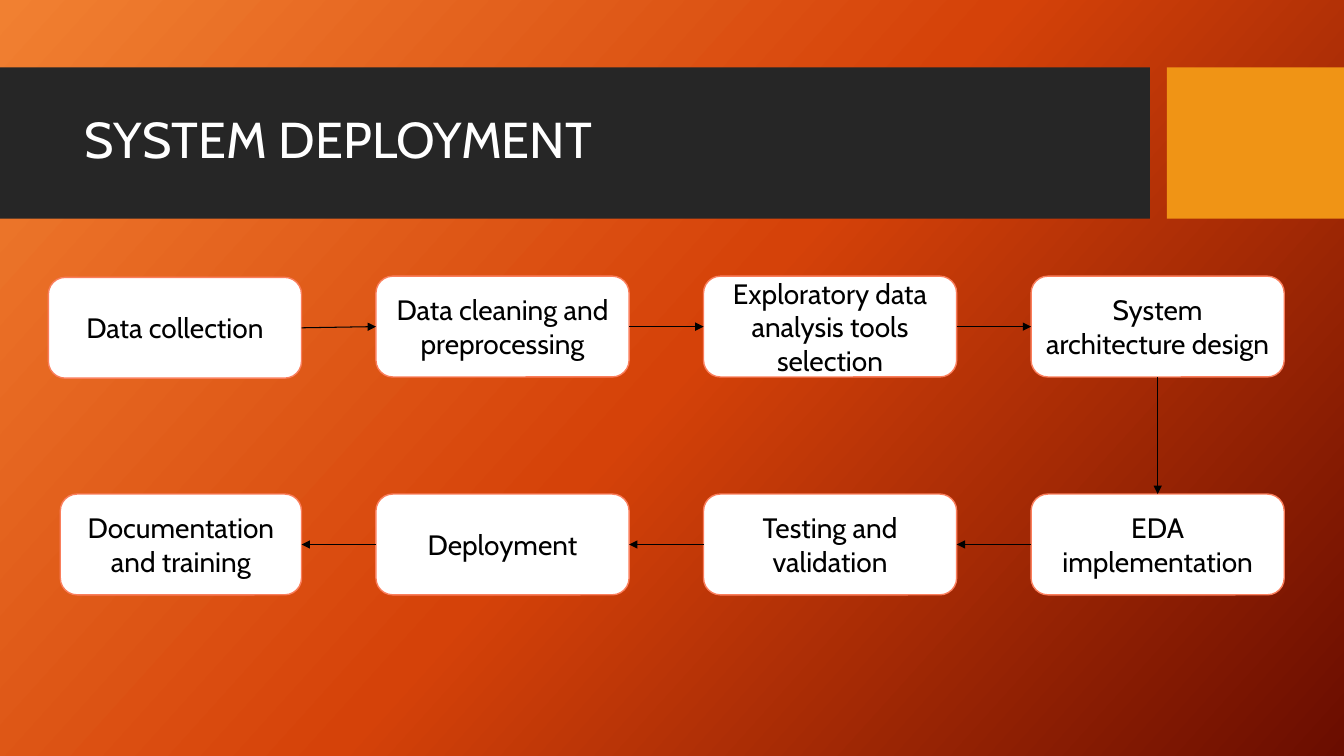
"""Build the system deployment slide: a title band above a serpentine flow of steps."""
from copy import deepcopy

from pptx import Presentation
from pptx.dml.color import RGBColor
from pptx.enum.shapes import MSO_CONNECTOR as Connector, MSO_SHAPE as Preset
from pptx.enum.text import MSO_ANCHOR as Anchor, PP_ALIGN as Align
from pptx.oxml.ns import qn
from pptx.oxml.xmlchemy import OxmlElement
from pptx.util import Cm, Pt

TITLE = "SYSTEM DEPLOYMENT"
STEPS = [
    "Data collection",
    "Data cleaning and preprocessing",
    "Exploratory data analysis tools selection",
    "System architecture design",
    "EDA implementation",
    "Testing and validation",
    "Deployment",
    "Documentation and training",
]
FONT = "Cabin"
GRADIENT = [(0, "F18031"), (0.5, "D54209"), (1, "6A0D00")]
BANDS = [(0, 28.98, "262626"), (29.41, 4.46, "F09415")]
BAND_TOP, BAND_HEIGHT = 1.7, 3.81

COLUMNS = 4
FLOW_LEFT, COLUMN_STEP = 1.22, 8.255
ROW_TOPS = [6.96, 12.45]
BOX_WIDTH, BOX_HEIGHT = 6.38, 2.54
FIRST_DROP = 0.03
LAST_INDENT = 0.3
TOP, LEFT, BOTTOM, RIGHT = range(4)


def color(value):
    return RGBColor.from_string(value)


def paint_background(slide):
    fill = slide.background.fill
    fill.gradient()
    fill.gradient_angle = 360 - 42
    first_stop = slide.element.find(".//" + qn("a:gs"))
    first_stop.addnext(deepcopy(first_stop))
    for stop, (position, value) in zip(fill.gradient_stops, GRADIENT):
        stop.position = position
        stop.color.rgb = color(value)


def add_block(slide, preset, left, top, width, height, fill, line=None):
    shape = slide.shapes.add_shape(preset, Cm(left), Cm(top), Cm(width), Cm(height))
    shape.shadow.inherit = False
    shape.fill.solid()
    shape.fill.fore_color.rgb = color(fill)
    if line:
        shape.line.color.rgb = color(line)
        shape.line.width = Pt(1)
    else:
        shape.line.fill.background()
    return shape


def write(shape, text, size, value, align):
    frame = shape.text_frame
    frame.word_wrap = True
    frame.vertical_anchor = Anchor.MIDDLE
    paragraph = frame.paragraphs[0]
    paragraph.alignment = align
    run = paragraph.add_run()
    run.text = text
    run.font.name = FONT
    run.font.size = Pt(size)
    run.font.color.rgb = color(value)
    return paragraph


def add_step(slide, index, text):
    row, column = divmod(index, COLUMNS)
    if row % 2:
        column = COLUMNS - 1 - column
    indent = LAST_INDENT if index == len(STEPS) - 1 else 0
    drop = FIRST_DROP if index == 0 else 0
    left = FLOW_LEFT + column * COLUMN_STEP + indent
    box = add_block(slide, Preset.ROUNDED_RECTANGLE, left, ROW_TOPS[row] + drop,
                    BOX_WIDTH - indent, BOX_HEIGHT, "FFFFFF", "FA7E5C")
    write(box, text, 20, "000000", Align.CENTER)
    return box


def add_arrow(slide, source, target, source_side, target_side):
    arrow = slide.shapes.add_connector(Connector.STRAIGHT, 0, 0, 0, 0)
    arrow.begin_connect(source, source_side)
    arrow.end_connect(target, target_side)
    arrow.line.color.rgb = color("000000")
    arrow.line.width = Pt(0.75)
    head = OxmlElement("a:tailEnd")
    head.set("type", "triangle")
    arrow.line._get_or_add_ln().append(head)
    arrow._element.spPr.append(OxmlElement("a:effectLst"))


def main():
    presentation = Presentation()
    presentation.slide_width, presentation.slide_height = Cm(33.87), Cm(19.05)
    slide = presentation.slides.add_slide(presentation.slide_layouts[6])
    paint_background(slide)
    for left, width, fill in BANDS:
        add_block(slide, Preset.RECTANGLE, left, BAND_TOP, width, BAND_HEIGHT, fill)
    title = slide.shapes.add_textbox(Cm(1.88), Cm(2.08), Cm(26.7), Cm(3))
    write(title, TITLE, 36, "FFFFFF", Align.LEFT).line_spacing = 0.9

    boxes = [add_step(slide, index, text) for index, text in enumerate(STEPS)]
    for index, (source, target) in enumerate(zip(boxes, boxes[1:])):
        if (index + 1) % COLUMNS == 0:
            sides = BOTTOM, TOP
        elif index < COLUMNS:
            sides = RIGHT, LEFT
        else:
            sides = LEFT, RIGHT
        add_arrow(slide, source, target, *sides)
    presentation.save("out.pptx")


if __name__ == "__main__":
    main()
